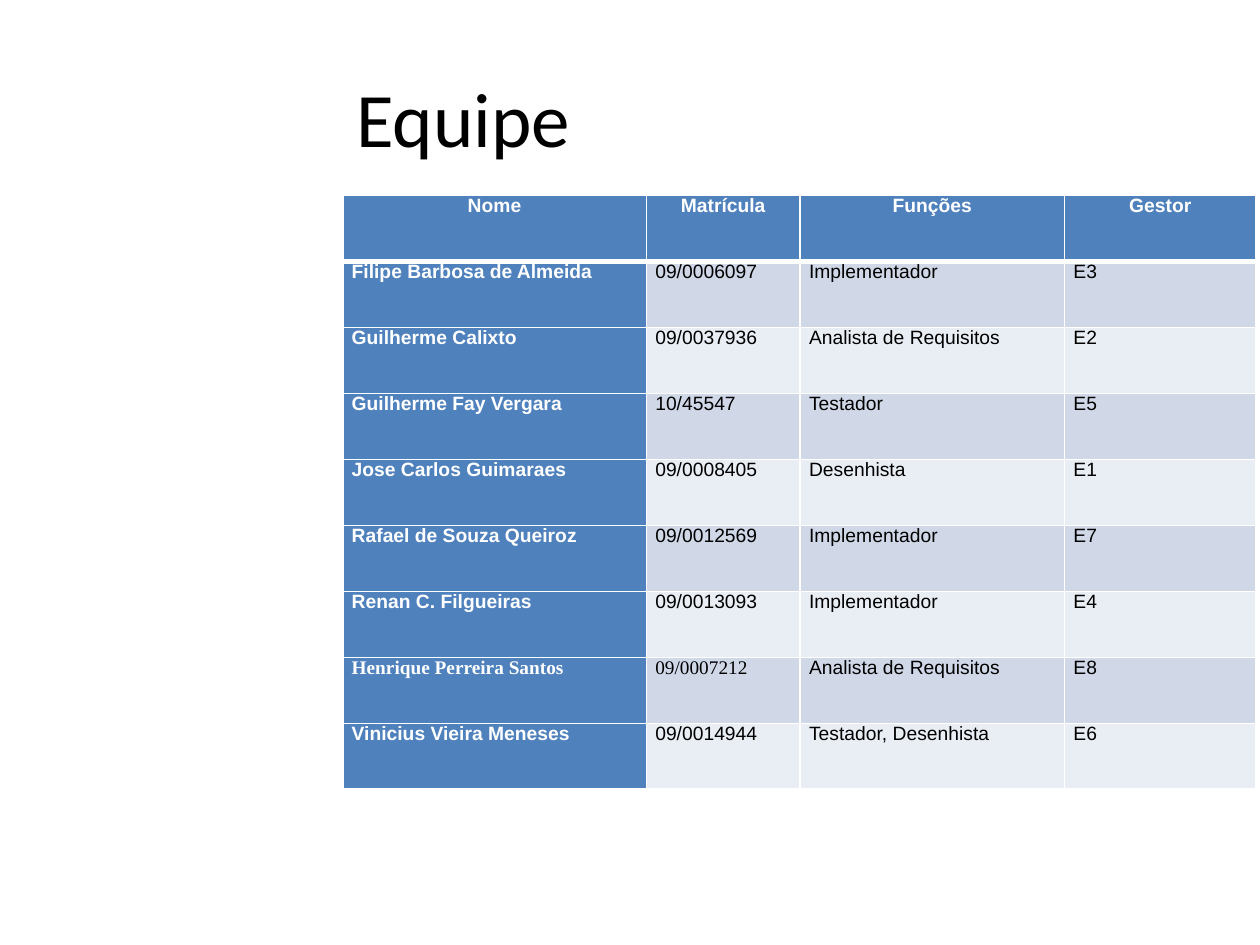
"""Build the team slide: a title above a table of members, roles and managed phases."""
from dataclasses import dataclass

from lxml.etree import SubElement
from pptx import Presentation
from pptx.dml.color import RGBColor
from pptx.enum.text import MSO_ANCHOR, PP_ALIGN
from pptx.oxml.ns import qn
from pptx.util import Cm, Pt


@dataclass(frozen=True)
class Theme:
    accent: str = "4F81BD"
    bands: tuple = ("D0D8E8", "E9EDF4")
    light: str = "FFFFFF"
    dark: str = "000000"
    title_font: str = "Calibri"
    body_font: str = "Arial"
    serif_font: str = "Times New Roman"
    title_size: int = 44
    body_size: int = 11
    rule: int = 1
    header_rule: int = 3


theme = Theme()


def add_run(paragraph, text, font, size, color, bold=False):
    run = paragraph.add_run()
    run.text = text
    run.font.name = font
    run.font.size = Pt(size)
    run.font.bold = bold
    run.font.color.rgb = RGBColor.from_string(color)


def add_border(cell, side, width):
    line = SubElement(cell._tc.get_or_add_tcPr(), qn(f"a:ln{side}"), w=str(Pt(width)))
    fill = SubElement(line, qn("a:solidFill"))
    SubElement(fill, qn("a:srgbClr"), val=theme.light)


headings = ("Nome", "Matrícula", "Funções", "Gestor")
members = [
    ("Filipe Barbosa de Almeida", "09/0006097", "Implementador", "E3"),
    ("Guilherme Calixto", "09/0037936", "Analista de Requisitos", "E2"),
    ("Guilherme Fay Vergara", "10/45547", "Testador", "E5"),
    ("Jose Carlos Guimaraes", "09/0008405", "Desenhista", "E1"),
    ("Rafael de Souza Queiroz", "09/0012569", "Implementador", "E7"),
    ("Renan C. Filgueiras", "09/0013093", "Implementador", "E4"),
    ("Henrique Perreira Santos", "09/0007212", "Analista de Requisitos", "E8"),
    ("Vinicius Vieira Meneses", "09/0014944", "Testador, Desenhista", "E6"),
]
serif_entries = {"Henrique Perreira Santos", "09/0007212"}
team_rows = [headings, *members]
column_widths = [Cm(6.12), Cm(3.1), Cm(5.33), Cm(3.86)]
row_height = Cm(1.33)

presentation = Presentation()
presentation.slide_width = Cm(25.4)
presentation.slide_height = Cm(19.05)
slide = presentation.slides.add_slide(presentation.slide_layouts[5])

heading = slide.shapes.title
heading.left, heading.top = Cm(6.93), Cm(0.76)
heading.width, heading.height = Cm(17.2), Cm(3.18)
heading.text_frame.vertical_anchor = MSO_ANCHOR.MIDDLE
heading_line = heading.text_frame.paragraphs[0]
heading_line.alignment = PP_ALIGN.LEFT
add_run(heading_line, "Equipe", theme.title_font, theme.title_size, theme.dark)

team = slide.shapes.add_table(
    len(team_rows), len(headings), Cm(6.91), Cm(3.94),
    sum(column_widths), row_height * len(team_rows),
).table
for column, width in zip(team.columns, column_widths):
    column.width = width

for row_index, entries in enumerate(team_rows):
    team.rows[row_index].height = row_height
    is_header = row_index == 0
    top_rule = theme.header_rule if row_index == 1 else theme.rule
    bottom_rule = theme.header_rule if is_header else theme.rule
    for column_index, entry in enumerate(entries):
        cell = team.cell(row_index, column_index)
        is_accent = is_header or column_index == 0
        cell.margin_left = cell.margin_right = Cm(0.18)
        cell.margin_top = cell.margin_bottom = 0
        cell.vertical_anchor = MSO_ANCHOR.TOP
        for side, width in zip("LRTB", (theme.rule, theme.rule, top_rule, bottom_rule)):
            add_border(cell, side, width)
        cell.fill.solid()
        cell.fill.fore_color.rgb = RGBColor.from_string(
            theme.accent if is_accent else theme.bands[(row_index - 1) % 2]
        )
        paragraph = cell.text_frame.paragraphs[0]
        paragraph.alignment = PP_ALIGN.CENTER if is_header else PP_ALIGN.LEFT
        font = theme.serif_font if entry in serif_entries else theme.body_font
        color = theme.light if is_accent else theme.dark
        add_run(paragraph, entry, font, theme.body_size, color, bold=is_accent)

presentation.save("out.pptx")
